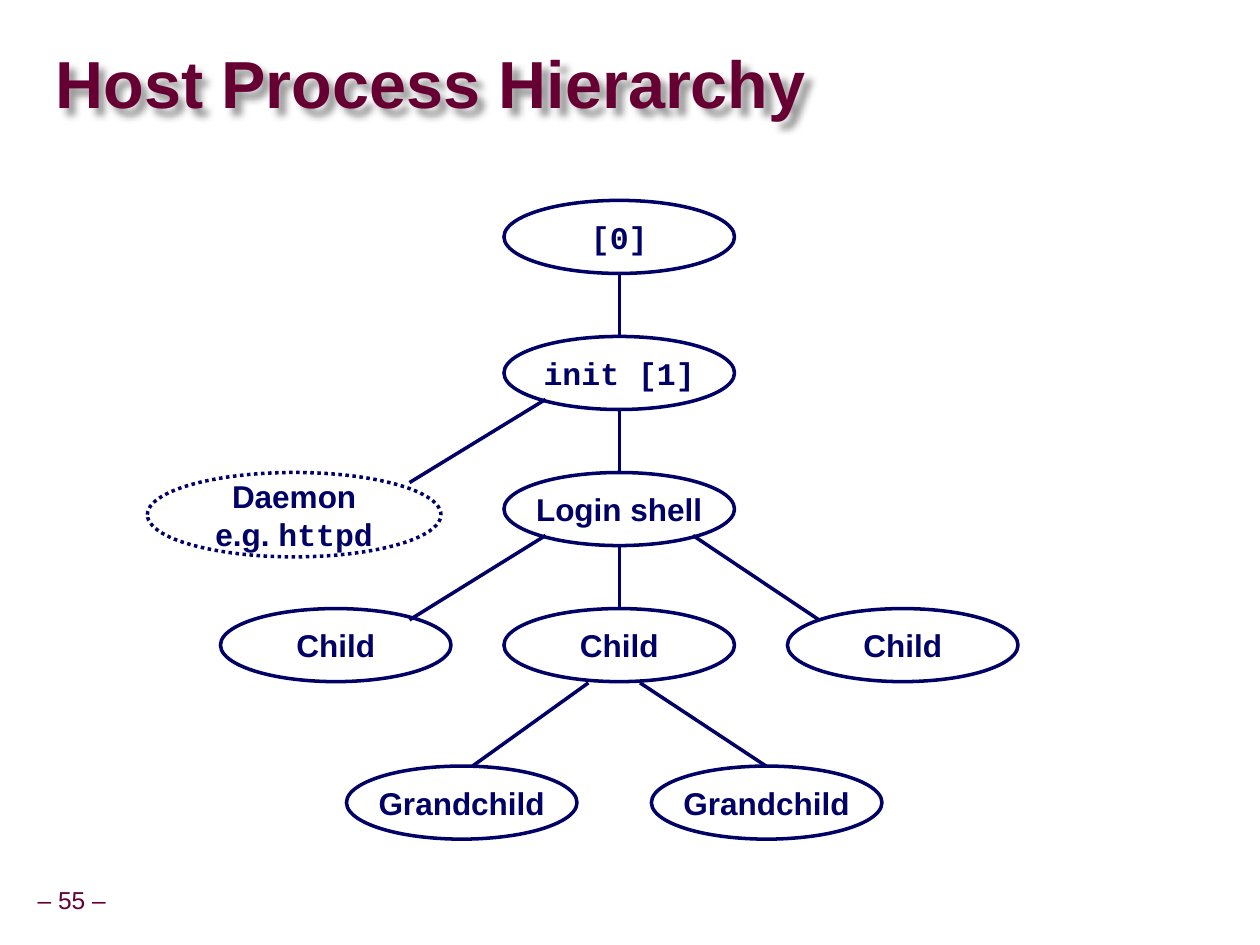
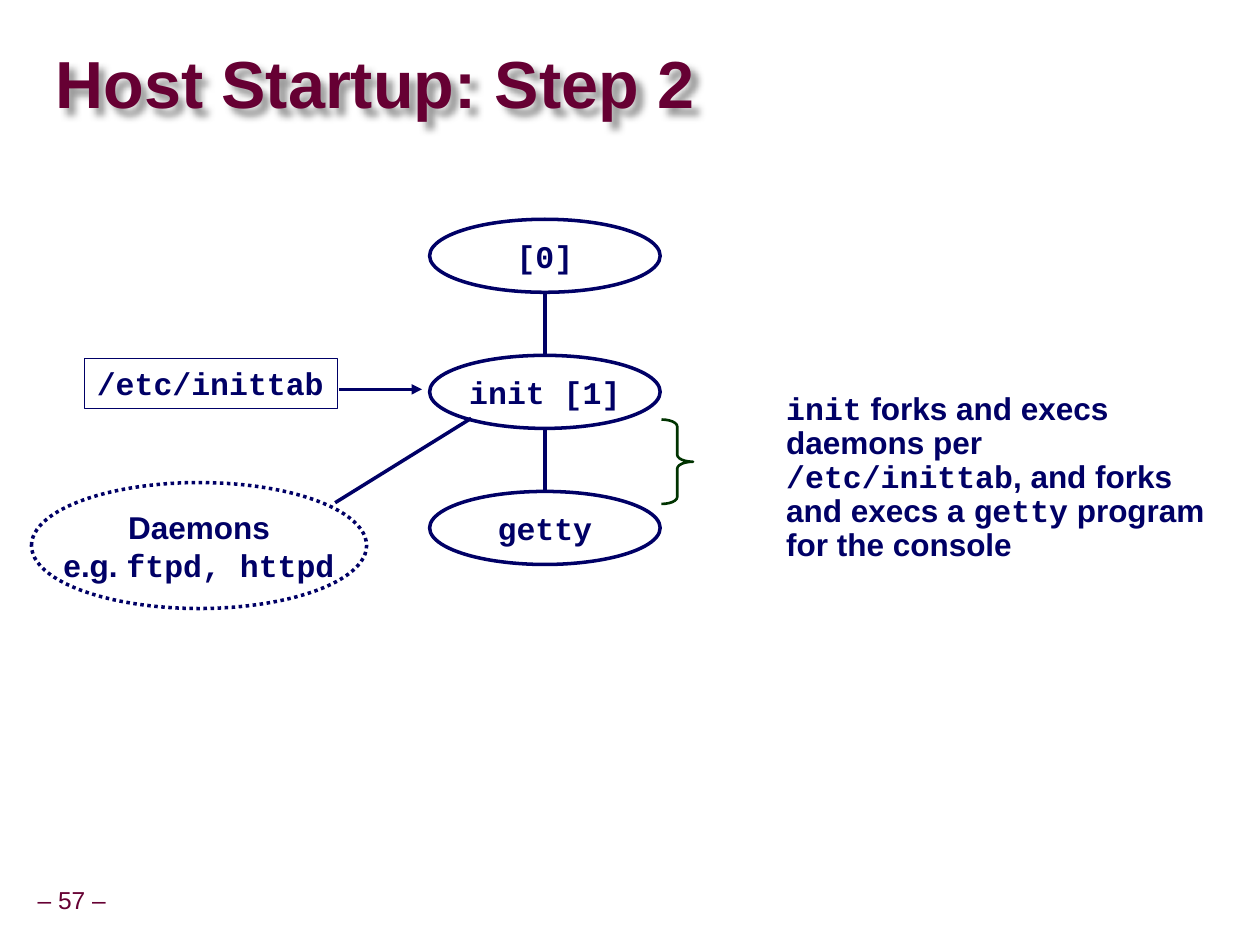
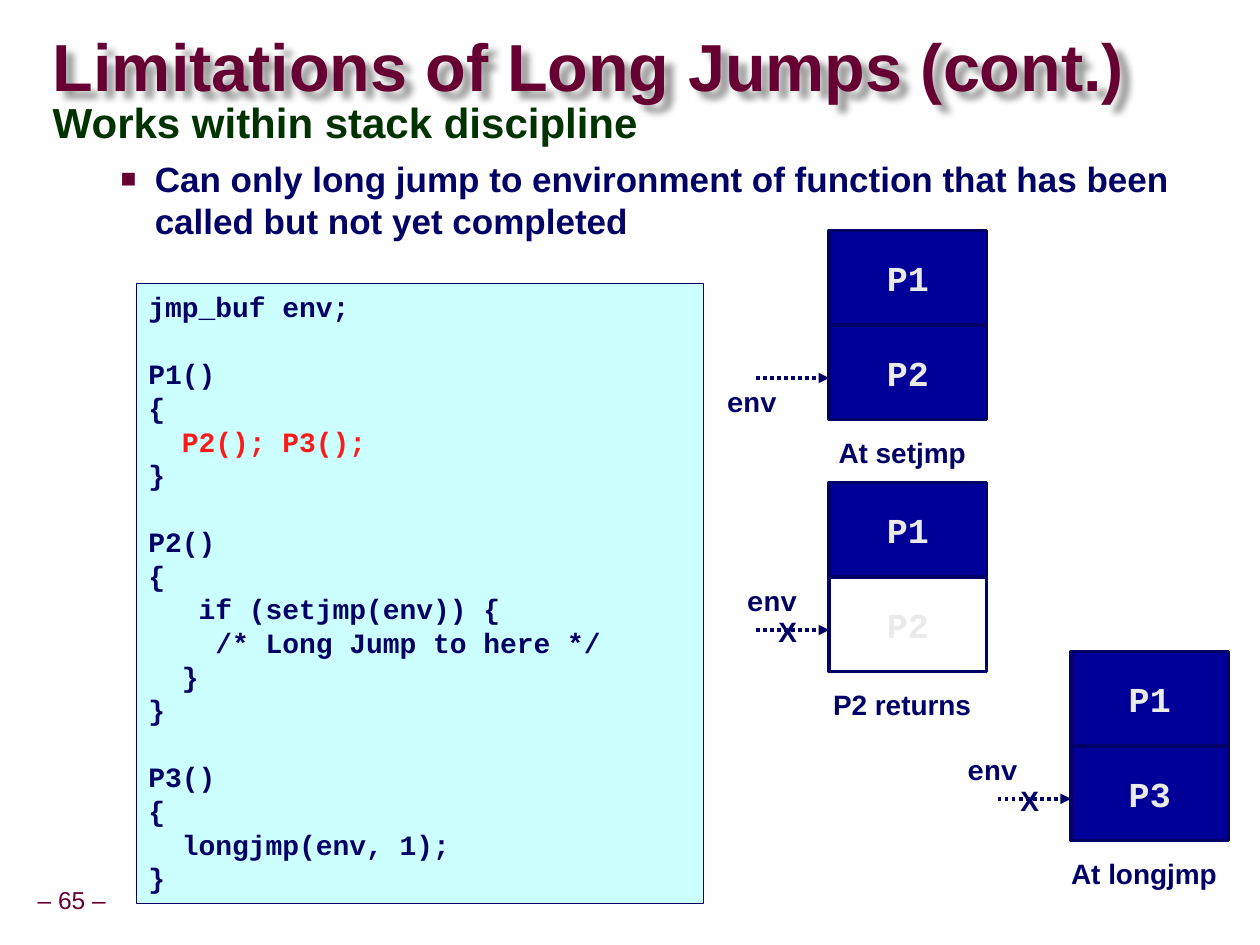
from dataclasses import dataclass

from lxml.etree import SubElement
from pptx import Presentation
from pptx.dml.color import RGBColor
from pptx.enum.dml import MSO_LINE
from pptx.enum.shapes import MSO_CONNECTOR, MSO_SHAPE
from pptx.enum.text import MSO_ANCHOR, PP_ALIGN
from pptx.oxml.ns import qn
from pptx.util import Inches, Pt


@dataclass(frozen=True)
class Theme:
    sans: str = "Arial"
    mono: str = "Courier New"
    maroon: str = "660033"
    navy: str = "000066"
    green: str = "003300"
    white: str = "FFFFFF"
    frame_blue: str = "000099"
    frame_text: str = "EAEAEA"
    code_fill: str = "CCFFFF"
    highlight: str = "FF1A1A"
    title_size: int = 38
    heading_size: int = 24
    bullet_size: int = 20
    node_size: int = 18
    code_size: int = 16
    footer_size: int = 14
    line_width: float = 2
    thin_line: float = 0.25


THEME = Theme()
NODE_WIDTH, NODE_HEIGHT, NODE_PITCH = 1.83, 0.58, 1.08
FRAME_WIDTH, FRAME_HEIGHT = 1.25, 0.75
CODE = """jmp_buf env;

P1()
{
  P2(); P3();
}

P2()
{
   if (setjmp(env)) {
    /* Long Jump to here */
  }
}

P3()
{
  longjmp(env, 1);
}"""
HIGHLIGHTED_CODE = "  P2(); P3();"


def rgb(color):
    return RGBColor.from_string(color)


def write_line(para, text, size, color=THEME.navy, bold=True, align=None, spacing=None):
    if align is not None:
        para.alignment = align
    if spacing is not None:
        para.line_spacing = spacing
    for index, part in enumerate(text.split("`")):
        if part:
            span = para.add_run()
            span.text = part
            span.font.name = THEME.mono if index % 2 else THEME.sans
            span.font.size = Pt(size)
            span.font.bold = bold
            span.font.color.rgb = rgb(color)


def set_frame(box, margins=(0.1, 0.05), anchor=MSO_ANCHOR.TOP, wrap=False):
    frame = box.text_frame
    frame.margin_left = frame.margin_right = Inches(margins[0])
    frame.margin_top = frame.margin_bottom = Inches(margins[1])
    frame.vertical_anchor = anchor
    frame.word_wrap = wrap
    return frame


def add_text(shapes, bounds, text, size, margins=(0.1, 0.05),
             anchor=MSO_ANCHOR.TOP, wrap=False, **style):
    box = shapes.add_textbox(*map(Inches, bounds))
    frame = set_frame(box, margins, anchor, wrap)
    write_line(frame.paragraphs[0], text, size, **style)
    return box


def add_figure(shapes, kind, bounds, fill=None, line=THEME.navy, width=THEME.line_width):
    figure = shapes.add_shape(kind, *map(Inches, bounds))
    figure.shadow.inherit = False
    if fill:
        figure.fill.solid()
        figure.fill.fore_color.rgb = rgb(fill)
    else:
        figure.fill.background()
    figure.line.color.rgb = rgb(line)
    figure.line.width = Pt(width)
    return figure


def add_node(page, left, top, text, width=NODE_WIDTH, height=NODE_HEIGHT, dotted=False):
    node = add_figure(page.shapes, MSO_SHAPE.OVAL, (left, top, width, height), THEME.white)
    if dotted:
        node.line.dash_style = MSO_LINE.ROUND_DOT
    frame = set_frame(node, anchor=MSO_ANCHOR.MIDDLE)
    for index, line in enumerate(text.split("\n")):
        para = frame.add_paragraph() if index else frame.paragraphs[0]
        write_line(para, line, THEME.node_size, align=PP_ALIGN.CENTER)


def add_link(shapes, start, end, arrow=False, dotted=False):
    link = shapes.add_connector(MSO_CONNECTOR.STRAIGHT, *map(Inches, start + end))
    link.line.color.rgb = rgb(THEME.navy)
    link.line.width = Pt(THEME.line_width)
    if dotted:
        link.line.dash_style = MSO_LINE.ROUND_DOT
    if arrow:
        SubElement(link.line._get_or_add_ln(), qn("a:tailEnd"), type="triangle")
    SubElement(link._element.spPr, qn("a:effectLst"))


def add_chain(page, left, top, texts):
    center = left + NODE_WIDTH / 2
    for index, text in enumerate(texts):
        node_top = top + index * NODE_PITCH
        if index:
            previous_bottom = node_top - NODE_PITCH + NODE_HEIGHT
            add_link(page.shapes, (center, previous_bottom), (center, node_top))
        add_node(page, left, node_top, text)


def add_title(page, text, bounds):
    title = add_text(page.shapes, bounds, text, THEME.title_size, margins=(0, 0),
                     anchor=MSO_ANCHOR.MIDDLE, wrap=True, color=THEME.maroon, spacing=0.87)
    title.shadow.inherit = False
    effects = title._element.spPr.find(qn("a:effectLst"))
    shadow = SubElement(effects, qn("a:outerShdw"), blurRad="50800", dist="63500",
                        dir="2700000", algn="tl", rotWithShape="0")
    color = SubElement(shadow, qn("a:srgbClr"), val="000000")
    SubElement(color, qn("a:alpha"), val="40000")


def add_page(deck, title, number, title_bounds=(0.44, 0.27, 9.53, 0.85)):
    page = deck.slides.add_slide(deck.slide_layouts[6])
    add_text(page.shapes, (0.24, 7, 0.66, 0.31), f"– {number} –", THEME.footer_size,
             margins=(0.05, 0.05), anchor=MSO_ANCHOR.MIDDLE, color=THEME.maroon,
             bold=False, align=PP_ALIGN.CENTER, spacing=0.9)
    add_title(page, title, title_bounds)
    return page


def add_bullet(para, indent, hanging):
    properties = para._p.get_or_add_pPr()
    properties.set("marL", str(Inches(indent)))
    properties.set("indent", str(-Inches(hanging)))
    color = SubElement(properties, qn("a:buClr"))
    SubElement(color, qn("a:srgbClr"), val=THEME.maroon)
    SubElement(properties, qn("a:buSzPct"), val="75000")
    SubElement(properties, qn("a:buFont"), typeface=THEME.sans)
    SubElement(properties, qn("a:buChar"), char="■")


def add_code(page, bounds):
    panel = add_figure(page.shapes, MSO_SHAPE.RECTANGLE, bounds,
                       THEME.code_fill, width=THEME.thin_line)
    frame = set_frame(panel, wrap=True)
    frame.text = CODE
    for para in frame.paragraphs:
        para.alignment = PP_ALIGN.LEFT
        para.line_spacing = Pt(THEME.code_size * 1.2)
        for span in para.runs:
            color = THEME.highlight if span.text == HIGHLIGHTED_CODE else THEME.navy
            span.font.name = THEME.mono
            span.font.size = Pt(THEME.code_size)
            span.font.bold = True
            span.font.color.rgb = rgb(color)


def add_stack(page, left, top, frames, caption, caption_width, env_offset, stale):
    shapes = page.shapes.add_group_shape().shapes
    for index, (name, fill) in enumerate(frames):
        bounds = (left, top + index * FRAME_HEIGHT, FRAME_WIDTH, FRAME_HEIGHT)
        block = add_figure(shapes, MSO_SHAPE.RECTANGLE, bounds, fill)
        frame = set_frame(block, anchor=MSO_ANCHOR.MIDDLE)
        write_line(frame.paragraphs[0], f"`{name}`", THEME.bullet_size,
                   color=THEME.frame_text, align=PP_ALIGN.CENTER)
    arrow_top = top + 1.17
    add_link(shapes, (left - 0.58, arrow_top), (left, arrow_top), arrow=True, dotted=True)
    env_left, env_top = env_offset
    add_text(shapes, (left + env_left, top + env_top, 0.6, 0.37), "`env`", THEME.code_size)
    caption_left = left + 0.58 - caption_width / 2
    add_text(shapes, (caption_left, top + 1.58, caption_width, 0.37), caption,
             THEME.code_size, align=PP_ALIGN.CENTER)
    if stale:
        add_text(shapes, (left - 0.5, top + 1, 0.35, 0.37), "X", THEME.code_size)


def build_hierarchy(deck):
    page = add_page(deck, "Host Process Hierarchy", 55)
    middle, first_row = 4, 1.59
    child_row, grandchild_row = first_row + 3 * NODE_PITCH, 6.08
    add_chain(page, middle, first_row, ["`[0]`", "`init [1]`", "Login shell", "Child"])
    for side in (-1, 1):
        add_node(page, middle + side * 2.25, child_row, "Child")
    for left in (2.75, 5.17):
        add_node(page, left, grandchild_row, "Grandchild")
    add_node(page, 1.17, 3.75, "Daemon\ne.g. `httpd`", 2.33, 0.67, dotted=True)
    for start, end in (((4.33, 3.17), (3.25, 3.83)), ((4.33, 4.25), (3.25, 4.92)),
                       ((5.5, 4.25), (6.5, 4.92)), ((4.67, 5.42), (3.75, 6.08)),
                       ((5.08, 5.42), (6.08, 6.08))):
        add_link(page.shapes, start, end)


def build_startup(deck):
    page = add_page(deck, "Host Startup: Step 2", 57)
    add_chain(page, 3.41, 1.74, ["`[0]`", "`init [1]`", "`getty`"])
    add_link(page.shapes, (3.74, 3.32), (2.66, 3.99))
    add_node(page, 0.25, 3.83, "Daemons\ne.g. `ftpd, httpd`", 2.66, 1, dotted=True)
    inittab = add_figure(page.shapes, MSO_SHAPE.RECTANGLE, (0.67, 2.84, 2.01, 0.4),
                         width=THEME.thin_line)
    write_line(set_frame(inittab).paragraphs[0], "`/etc/inittab`", THEME.node_size,
               align=PP_ALIGN.LEFT)
    add_link(page.shapes, (2.69, 3.09), (3.35, 3.09), arrow=True)
    add_text(page.shapes, (6.19, 3.07, 3.47, 1.18),
             "`init` forks and execs daemons per `/etc/inittab`, and forks and execs a "
             "`getty` program for the console",
             THEME.node_size, margins=(0.05, 0.05), wrap=True, spacing=0.9)
    brace = add_figure(page.shapes, MSO_SHAPE.RIGHT_BRACE, (5.25, 3.33, 0.25, 0.67),
                       line=THEME.green, width=1.5)
    brace.adjustments[0] = 0.22


def build_long_jumps(deck):
    page = add_page(deck, "Limitations of Long Jumps (cont.)", 65, (0.42, 0.25, 8.68, 0.63))
    body = add_text(page.shapes, (0.32, 0.75, 9.09, 1.27), "Works within stack discipline",
                    THEME.heading_size, wrap=True, color=THEME.green, spacing=0.95)
    para = body.text_frame.add_paragraph()
    add_bullet(para, 0.81, 0.27)
    para.space_before = Pt(5)
    write_line(para, "Can only long jump to environment of function that has been called "
               "but not yet completed", THEME.bullet_size, spacing=Pt(24))
    add_code(page, (1.08, 2.25, 4.5, 4.92))
    live, returned = THEME.frame_blue, THEME.white
    add_stack(page, 6.58, 1.83, [("P1", live), ("P2", live)],
              "At setjmp", 1.21, (-0.91, 1.17), stale=False)
    add_stack(page, 8.5, 5.17, [("P1", live), ("P3", live)],
              "At longjmp", 1.36, (-0.92, 0.75), stale=True)
    add_stack(page, 6.58, 3.83, [("P1", live), ("P2", returned)],
              "P2 returns", 1.3, (-0.75, 0.75), stale=True)


def main():
    deck = Presentation()
    deck.slide_width = Inches(10)
    deck.slide_height = Inches(7.5)
    build_hierarchy(deck)
    build_startup(deck)
    build_long_jumps(deck)
    deck.save("out.pptx")


if __name__ == "__main__":
    main()
